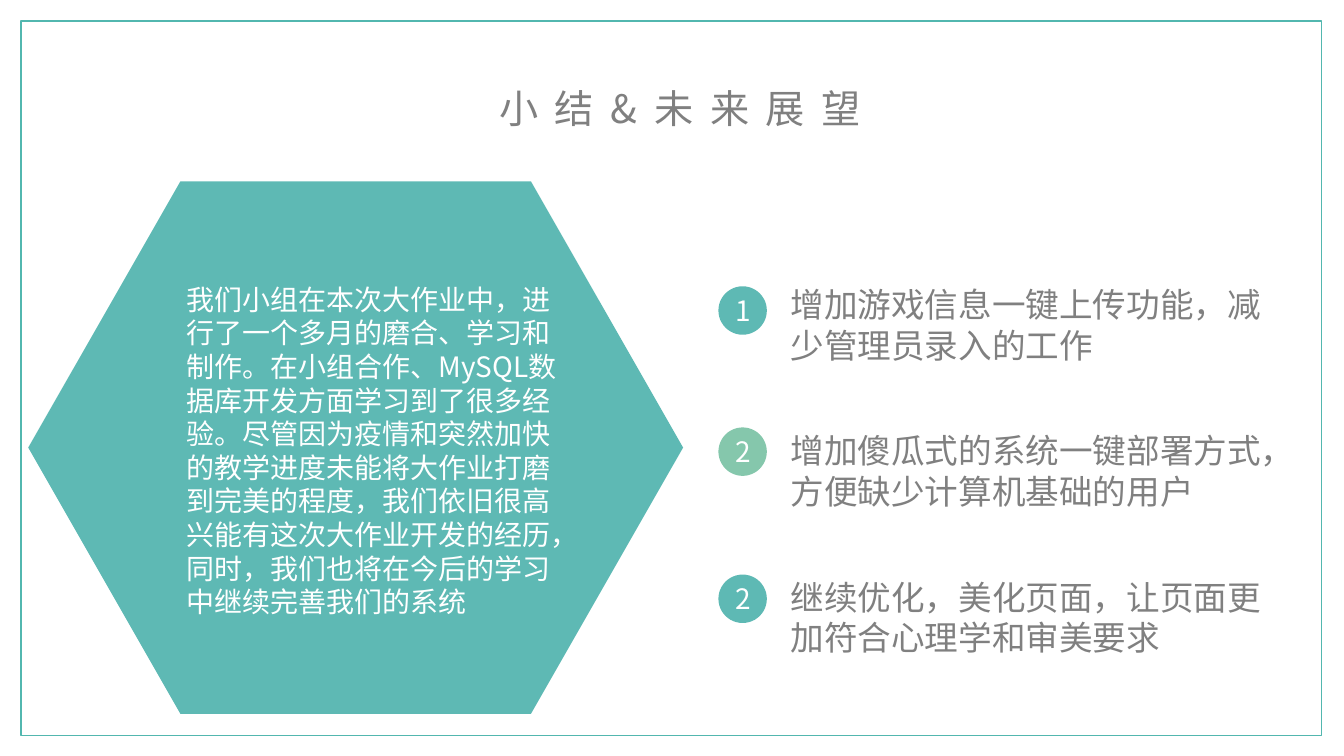
from dataclasses import dataclass

from lxml.etree import SubElement
from pptx import Presentation
from pptx.dml.color import RGBColor
from pptx.enum.shapes import MSO_SHAPE as Kind
from pptx.enum.text import MSO_ANCHOR as Anchor, PP_ALIGN as Align
from pptx.oxml.ns import qn
from pptx.util import Pt

FONT = "Noto Sans CJK SC"
TEAL = RGBColor(0x5E, 0xB9, 0xB4)
GREEN = RGBColor(0x85, 0xC7, 0xAC)
EDGE = RGBColor(0x52, 0xB7, 0xAF)
GRAY = RGBColor(0x80, 0x80, 0x80)
WHITE = RGBColor(0xFF, 0xFF, 0xFF)

TITLE = "小结&未来展望"
REVIEW = (
    "我们小组在本次大作业中，进行了一个多月的磨合、学习和制作。"
    "在小组合作、MySQL数据库开发方面学习到了很多经验。"
    "尽管因为疫情和突然加快的教学进度未能将大作业打磨到完美的程度，"
    "我们依旧很高兴能有这次大作业开发的经历，"
    "同时，我们也将在今后的学习中继续完善我们的系统"
)


@dataclass
class Box:
    left: float
    top: float
    width: float
    height: float

    def args(self) -> list:
        return [Pt(n) for n in (self.left, self.top, self.width, self.height)]


@dataclass
class Goal:
    mark: str
    fill: RGBColor
    dot: float
    top: float
    text: str


GOALS = [
    Goal("1", TEAL, 204.5, 199.5, "增加游戏信息一键上传功能，减少管理员录入的工作"),
    Goal("2", GREEN, 305.3, 303.8, "增加傻瓜式的系统一键部署方式，方便缺少计算机基础的用户"),
    Goal("2", TEAL, 410.4, 408.2, "继续优化，美化页面，让页面更加符合心理学和审美要求"),
]


def write(shape, text: str, *, size: float, color: RGBColor,
          align=Align.LEFT, anchor=Anchor.TOP, gap: float = 0) -> None:
    frame = shape.text_frame
    frame.word_wrap = True
    frame.vertical_anchor = anchor
    para = frame.paragraphs[0]
    para.alignment = align
    para.line_spacing = Pt(size * 1.2)
    run = para.add_run()
    run.text = text
    font = run.font
    font.size = Pt(size)
    font.color.rgb = color
    font.name = FONT
    props = font._element
    SubElement(props, qn("a:ea"), typeface=FONT)
    if gap:
        props.set("spc", str(round(gap * 100)))


def label(slide, box: Box, text: str, **form) -> None:
    write(slide.shapes.add_textbox(*box.args()), text, **form)


def draw(slide, kind: Kind, box: Box, fill: RGBColor | None = None):
    shape = slide.shapes.add_shape(kind, *box.args())
    shape.shadow.inherit = False
    if fill is None:
        shape.fill.background()
    else:
        shape.fill.solid()
        shape.fill.fore_color.rgb = fill
    shape.line.fill.background()
    return shape


def main() -> None:
    deck = Presentation()
    deck.slide_width, deck.slide_height = Pt(960.5), Pt(540)
    slide = deck.slides.add_slide(deck.slide_layouts[6])

    border = draw(slide, Kind.RECTANGLE, Box(15.1, 15.1, 929.5, 510.5))
    border.line.color.rgb = EDGE
    border.line.width = Pt(1)

    hexagon = draw(slide, Kind.HEXAGON, Box(20.2, 129.6, 468, 380.2), TEAL)
    hexagon.adjustments[0] = 0.286
    hexagon.adjustments[1] = 1.155
    label(slide, Box(126, 198, 292.3, 250), REVIEW, size=20, color=WHITE)

    for goal in GOALS:
        dot = draw(slide, Kind.OVAL, Box(513.4, goal.dot, 34.6, 34.6), goal.fill)
        write(dot, goal.mark, size=20, color=WHITE,
              align=Align.CENTER, anchor=Anchor.MIDDLE)
        label(slide, Box(558, goal.top, 360, 65.5), goal.text, size=24, color=GRAY)

    label(slide, Box(317.5, 56.9, 337, 41), TITLE, size=28, color=GRAY,
          align=Align.CENTER, gap=12)
    deck.save("out.pptx")


if __name__ == "__main__":
    main()
